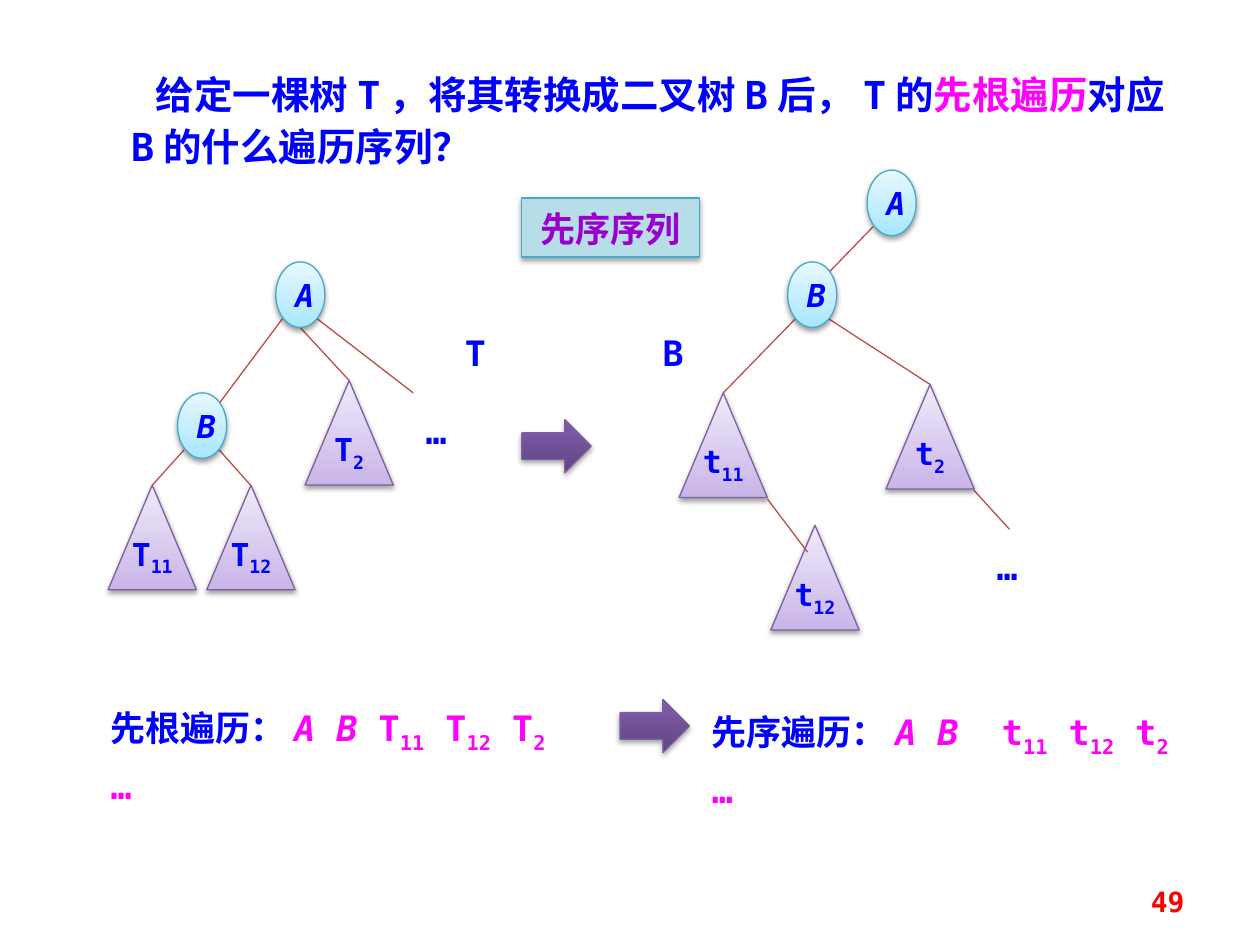
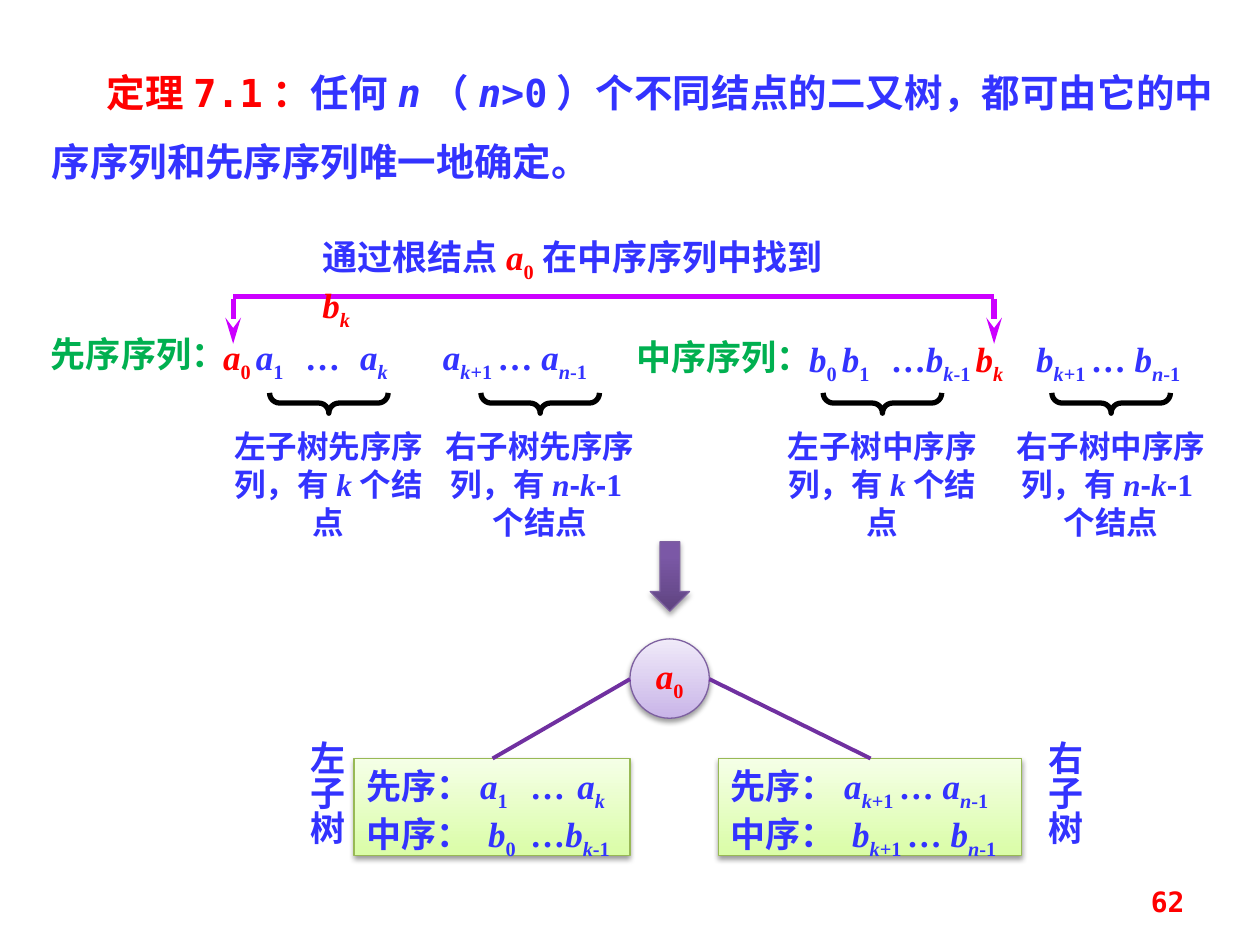
from lxml.etree import SubElement
from pptx import Presentation
from pptx.dml.color import RGBColor
from pptx.enum.shapes import MSO_CONNECTOR, MSO_SHAPE
from pptx.enum.text import MSO_ANCHOR, MSO_AUTO_SIZE, PP_ALIGN
from pptx.oxml.ns import qn
from pptx.util import Cm, Pt

BLUE = RGBColor(0x00, 0x00, 0xFF)
INDIGO = RGBColor(0x33, 0x33, 0xFF)
RED = RGBColor(0xFF, 0x00, 0x00)
PINK = RGBColor(0xFF, 0x00, 0xFF)
GREEN = RGBColor(0x00, 0xB0, 0x50)
PURPLE = RGBColor(0x99, 0x00, 0xCC)
VIOLET = RGBColor(0xCC, 0x00, 0xFF)
PLUM = RGBColor(0x70, 0x30, 0xA0)
BRICK = RGBColor(0xBF, 0x4C, 0x48)
BLACK = RGBColor(0x00, 0x00, 0x00)
TEAL = RGBColor(0x46, 0xAA, 0xC5)
MAUVE = RGBColor(0x7D, 0x60, 0xA0)
OLIVE = RGBColor(0x98, 0xB9, 0x55)
PALE = RGBColor(0xB7, 0xDE, 0xE8)

# Each gradient: bottom colour, top colour, place of the top colour
SKY = RGBColor(0xA7, 0xE6, 0xFF), RGBColor(0xE7, 0xF8, 0xFF), 1
LILAC = RGBColor(0xC9, 0xB5, 0xE8), RGBColor(0xF0, 0xEA, 0xF9), 1
LIME = RGBColor(0xDA, 0xFD, 0xA7), RGBColor(0xF5, 0xFF, 0xE7), 1
GRAPE = RGBColor(0x5F, 0x44, 0x80), RGBColor(0x7B, 0x58, 0xA6), 0.8

MONO, SERIF, SANS = "DejaVu Sans Mono", "Times New Roman", "Arial"
HAN = "Noto Sans CJK SC"
TINTS = {"r": RED, "m": PINK}
CENTER = PP_ALIGN.CENTER


def write(frame, marks, font=MONO, size=20, color=BLUE, align=PP_ALIGN.LEFT,
          lead=None, indent=0, tabs=(), inset=None, anchor=MSO_ANCHOR.TOP):
    """Fill a frame from runs parted by "|", each "text/flags".

    Flags: i italic, s subscript, h sans hyphen, r red, m pink.
    """
    frame.word_wrap = True
    frame.auto_size = MSO_AUTO_SIZE.NONE
    frame.vertical_anchor = anchor
    if inset is not None:
        frame.margin_left = frame.margin_right = Cm(inset)
        frame.margin_top = frame.margin_bottom = Cm(inset)
    for n, line in enumerate(marks.split("\n")):
        para = frame.add_paragraph() if n else frame.paragraphs[0]
        para.alignment = align
        if lead:
            para.line_spacing = lead
        props = para._p.get_or_add_pPr()
        if indent:
            props.set("indent", str(Cm(indent)))
        if tabs:
            stops = SubElement(props, qn("a:tabLst"))
            for tab in tabs:
                SubElement(stops, qn("a:tab"), pos=str(Cm(tab)), algn="l")
        for mark in line.split("|"):
            words, _, flags = mark.partition("/")
            run = para.add_run()
            run.text = words
            face = run.font
            face.name = SANS if "h" in flags else font
            face.size = Pt(size)
            face.bold = True
            face.italic = "i" in flags
            face.color.rgb = next((TINTS[f] for f in flags if f in TINTS), color)
            props = run._r.get_or_add_rPr()
            SubElement(props, qn("a:ea"), typeface=HAN)
            if "s" in flags:
                props.set("baseline", "-25000")


def label(slide, box, marks, **form):
    shape = slide.shapes.add_textbox(*map(Cm, box))
    write(shape.text_frame, marks, **form)
    return shape


def title(slide, box, marks, **form):
    head = slide.shapes.title
    head.left, head.top, head.width, head.height = map(Cm, box)
    write(head.text_frame, marks, size=22, **form)


def shade(shape, dist, alpha):
    """Cast a soft shadow straight down."""
    shape.shadow.inherit = False
    effects = shape._element.spPr.find(qn("a:effectLst"))
    drop = SubElement(effects, qn("a:outerShdw"), blurRad=str(Pt(3.1)),
                      dist=str(Pt(dist)), dir="5400000", rotWithShape="0")
    tone = SubElement(drop, qn("a:srgbClr"), val="000000")
    SubElement(tone, qn("a:alpha"), val=str(alpha * 1000))


def block(slide, kind, box, fill, edge, marks=None, dist=1.6, alpha=38, **form):
    """Add a shadowed shape with a plain or gradient fill."""
    shape = slide.shapes.add_shape(kind, *map(Cm, box))
    if isinstance(fill, RGBColor):
        shape.fill.solid()
        shape.fill.fore_color.rgb = fill
    else:
        low, high, place = fill
        shape.fill.gradient()
        shape.fill.gradient_angle = 90
        first, last = shape.fill.gradient_stops
        first.color.rgb, last.color.rgb = low, high
        first.position, last.position = 0, place
    shape.line.color.rgb = edge
    shape.line.width = Pt(0.75)
    shade(shape, dist, alpha)
    if marks:
        write(shape.text_frame, marks, **form)


def node(slide, x, y, name):
    block(slide, MSO_SHAPE.OVAL, (x, y, 0.99, 1.32), SKY, TEAL, name + "/i",
          size=18, align=CENTER, anchor=MSO_ANCHOR.MIDDLE)


def subtree(slide, x, y, name, index):
    block(slide, MSO_SHAPE.ISOSCELES_TRIANGLE, (x, y, 1.78, 2.11), LILAC, MAUVE,
          f"{name}|{index}/s", size=18, align=CENTER, lead=Pt(16), inset=0,
          anchor=MSO_ANCHOR.MIDDLE)


def arrow(slide, kind, *box):
    block(slide, kind, box, GRAPE, MAUVE, dist=1.8, alpha=35)


def link(slide, ends, color=BRICK, width=0.75, tip=False):
    line = slide.shapes.add_connector(MSO_CONNECTOR.STRAIGHT, *map(Cm, ends))
    line.line.color.rgb = color
    line.line.width = Pt(width)
    if tip:
        SubElement(line.line._get_or_add_ln(), qn("a:tailEnd"),
                   type="stealth", w="med", len="lg")
    SubElement(line._element.spPr, qn("a:effectLst"))


def brace(slide, mid):
    """Add a brace that opens upward, centred on mid."""
    shape = slide.shapes.add_shape(MSO_SHAPE.LEFT_BRACE, Cm(mid - 0.2), Cm(6.93),
                                   Cm(0.41), Cm(2.39))
    shape.rotation = 270
    shape.adjustments[0] = 0.5
    shape.fill.background()
    shape.line.color.rgb = BLACK
    shape.line.width = Pt(3)
    shape.shadow.inherit = False


def number(slide, page):
    label(slide, (18.21, 17.65, 5.92, 1.02), str(page), size=16, color=RED,
          align=PP_ALIGN.RIGHT, anchor=MSO_ANCHOR.MIDDLE)


def convert(slide):
    """Tree T, its binary tree B and their matching orders."""
    title(slide, (2.39, 1.17, 21.44, 2.39),
          "给定一棵树T，将其转换成二叉树B后，T的|先根遍历/m|对应B的什么遍历序列？",
          lead=Pt(30), indent=0.5)
    edges = [
        (17.6, 4.57, 16.71, 5.49), (16.71, 6.43, 18.75, 7.75),
        (16.03, 6.43, 14.58, 7.92), (19.63, 9.88, 20.35, 10.67),
        (5.69, 6.43, 4.42, 8.13), (6.05, 6.6, 7.04, 7.67),
        (6.4, 6.43, 8.33, 7.92), (3.71, 9.07, 3.07, 9.78),
        (4.42, 9.07, 5.05, 9.78),
    ]
    for ends in edges:
        link(slide, ends)
    for spot in [(17.48, 3.43, "A"), (15.88, 5.28, "B"),
                 (5.56, 5.28, "A"), (3.58, 7.92, "B")]:
        node(slide, *spot)
    for spot in [(2.18, 9.78, "T", 11), (4.17, 9.78, "T", 12), (6.15, 7.67, "T", 2),
                 (13.69, 7.92, "t", 11), (15.54, 10.59, "t", 12),
                 (17.86, 7.75, "t", 2)]:
        subtree(slide, *spot)
    link(slide, (15.47, 10.06, 16.28, 11.13))
    for x, y, mark in [(8.33, 7.92, "…"), (19.84, 10.67, "…"),
                       (9.12, 6.35, "T"), (13.11, 6.35, "B")]:
        label(slide, (x, y, 1.4, 1.32), mark, lead=Pt(30))
    for x, y in [(10.52, 8.46), (12.5, 14.1)]:
        arrow(slide, MSO_SHAPE.RIGHT_ARROW, x, y, 1.4, 1.07)
    block(slide, MSO_SHAPE.RECTANGLE, (10.52, 3.99, 3.58, 1.19), PALE, TEAL,
          "先序序列", dist=1.8, alpha=35, color=PURPLE, align=CENTER, lead=Pt(26))
    label(slide, (1.98, 14.02, 9.8, 1.32),
          "先根遍历：|A B/im| T/m|11/sm| T/m|12/sm| T/m|2 /sm|…/m", lead=Pt(30))
    label(slide, (14.1, 14.1, 9.8, 1.32),
          "先序遍历：|A B/im|\tt/m|11/sm| t/m|12/sm| t/m|2 /sm|…/m",
          lead=Pt(30), tabs=[5.85])


def theorem(slide):
    """A binary tree rebuilt from its preorder and inorder lists."""
    serif = dict(font=SERIF, color=INDIGO)
    flat = dict(serif, inset=0)
    title(slide, (0.79, 0.79, 23.93, 2.9),
          "定理7.1：/r|任何|n/i|（|n>/i|0）个不同结点的二又树，都可由它的中序序列和先序序列唯一地确定。",
          color=INDIGO, align=PP_ALIGN.JUSTIFY, lead=1.5, indent=1.11)

    for x, y, order in [(0.89, 6.71, "先序"), (12.7, 6.76, "中序")]:
        label(slide, (x, y, 3.81, 0.84), order + "序列：", font=SERIF, color=GREEN,
              align=CENTER, inset=0)
    label(slide, (4.5, 6.76, 8, 0.86),
          "a/ir|0 /sr|a/i|1/s|\t…\t|a/i|k/is|\ta/i|k/is|+1 /s|… |a/i|n/is|-1/s",
          tabs=[1.65, 2.76, 4.43], **flat)
    label(slide, (16.31, 6.81, 7.9, 0.86),
          "b/i|0 /s|b/i|1/s|\t…|b/i|k/is|-1 /s|b/ir|k/isr|\tb/i|k/is|+1 /s|… |b/i|n/is|-1/s",
          tabs=[1.65, 4.58], **flat)

    left, right = "k/i|个结点", "n/i|-/h|k/i|-/h|1个结点"
    for x, wide, part, count in [(4.72, 3.81, "左子树先序", left),
                                 (8.89, 3.99, "右子树先序", right),
                                 (15.88, 3.81, "左子树中序", left),
                                 (20.4, 3.99, "右子树中序", right)]:
        label(slide, (x, 8.61, wide, 2.31), f"{part}序列，有|{count}",
              size=18, align=CENTER, **flat)
        brace(slide, x + wide / 2)

    start, end, top = 4.7, 20.04, 5.97
    link(slide, (start, top, end, top), VIOLET, 3)
    for x in (start, end):
        link(slide, (x, top + 0.05, x, 6.93), VIOLET, 3, tip=True)
    label(slide, (6.5, 4.75, 10.4, 0.84),
          "通过根结点|a/ir|0/sr|在中序序列中找到|b/ir|k/isr", **flat)

    arrow(slide, MSO_SHAPE.DOWN_ARROW, 13.11, 10.92, 0.79, 1.4)
    block(slide, MSO_SHAPE.OVAL, (12.7, 12.88, 1.6, 1.6), LILAC, MAUVE, "a/ir|0/sr",
          align=CENTER, anchor=MSO_ANCHOR.MIDDLE, **flat)
    block(slide, MSO_SHAPE.RECTANGLE, (7.14, 15.29, 5.56, 1.96), LIME, OLIVE,
          "先序：|a/i|1/s|\t…\t|a/i|k/is\n中序：| b/i|0/s|\t…|b/i|k/is|-1/s",
          tabs=[3.3, 4.25], **serif)
    block(slide, MSO_SHAPE.RECTANGLE, (14.48, 15.29, 6.12, 1.96), LIME, OLIVE,
          "先序：|a/i|k/is|+1 /s|… |a/i|n/is|-1/s\n"
          "中序：| b/i|k/is|+1 /s|… |b/i|n/is|-1/s", **serif)
    for x, side in [(5.77, "左子树"), (20.65, "右子树")]:
        tag = label(slide, (x, 14.68, 1.37, 3.38), side, font=HAN, color=INDIGO,
                    align=CENTER)
        tag.text_frame._txBody.bodyPr.set("vert", "eaVert")
    for ends in [(12.7, 13.69, 9.93, 15.29), (14.3, 13.69, 17.55, 15.29)]:
        link(slide, ends, PLUM, 2.25)


def main():
    deck = Presentation()
    deck.slide_width, deck.slide_height = Cm(25.4), Cm(19.05)
    for draw, page in [(convert, 49), (theorem, 62)]:
        slide = deck.slides.add_slide(deck.slide_layouts[5])
        draw(slide)
        number(slide, page)
    deck.save("out.pptx")


if __name__ == "__main__":
    main()
